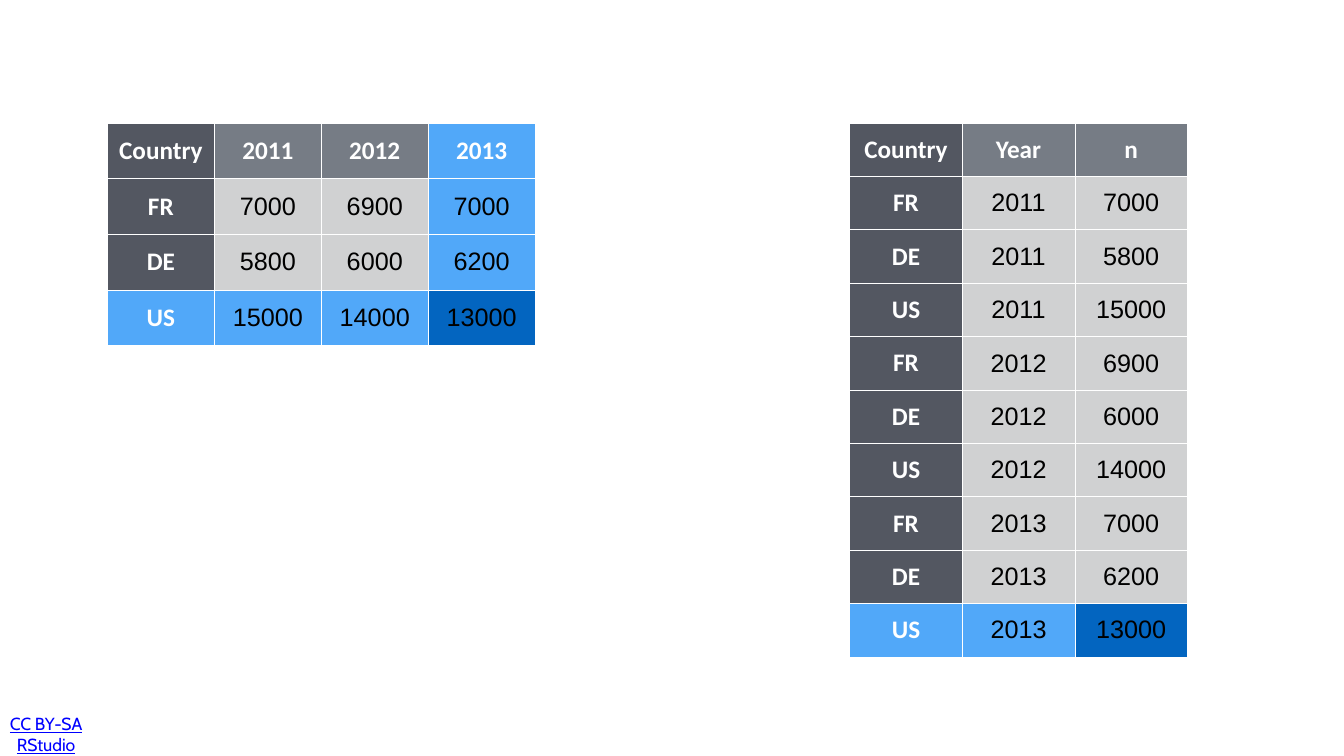
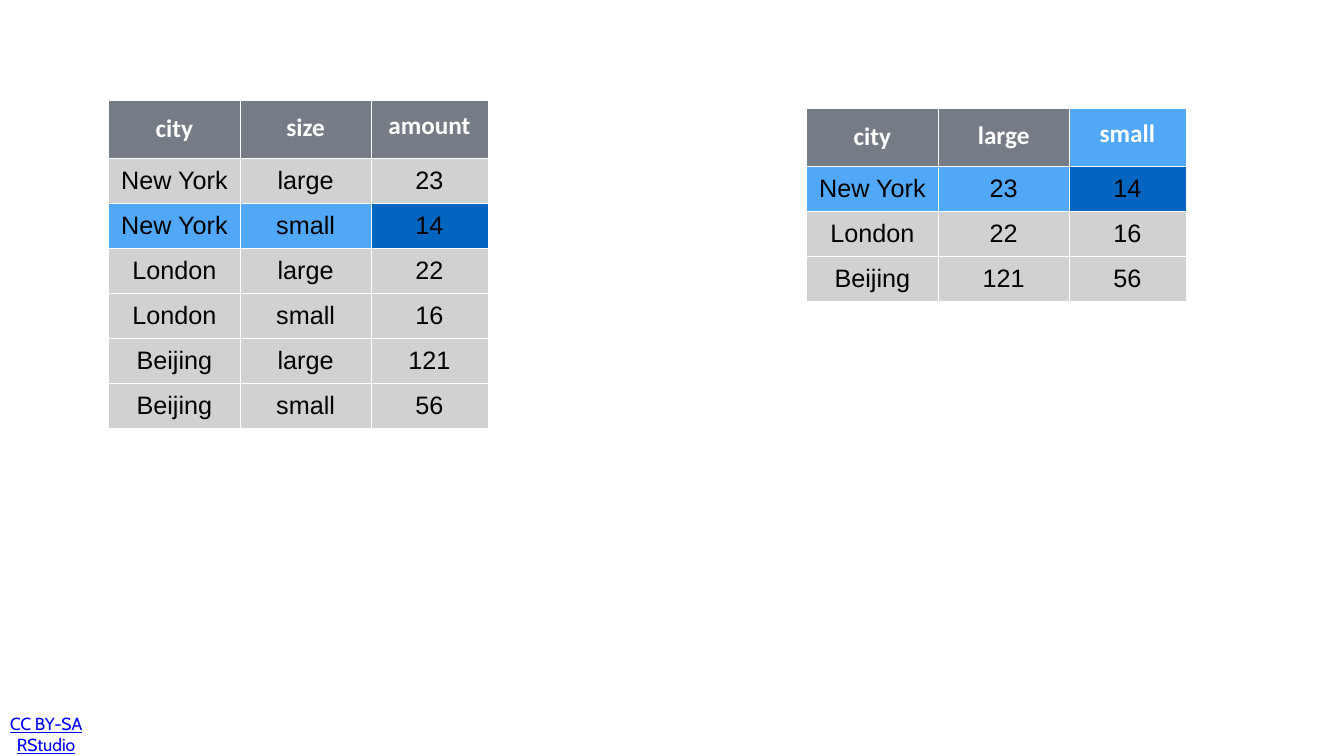
from lxml import etree
from pptx import Presentation
from pptx.dml.color import RGBColor
from pptx.enum.text import MSO_ANCHOR, PP_ALIGN
from pptx.oxml.ns import qn
from pptx.util import Pt

CENTER = PP_ALIGN.CENTER
MIDDLE = MSO_ANCHOR.MIDDLE

COLORS = {
    "white": "FFFFFF",
    "text": "000000",
    "link": "0000FF",
    "header": "767C85",
    "key": "535761",
    "value": "D0D1D2",
    "marked": "51A8F9",
    "target": "0365C0",
}
FILL_CODES = {"h": "header", "k": "key", "v": "value", "m": "marked", "t": "target"}
BLANK_LAYOUT = 6
CELL_INSET = 4.32
TABLE_SIZE = 36
CITY_COLUMNS = (188.6, 186.5, 167)
CITY_HEADER_SPACING = (1, 0.8, 0.6)
COUNTRIES = ("FR", "DE", "US")
SALES = {
    "2011": ("7000", "5800", "15000"),
    "2012": ("6900", "6000", "14000"),
    "2013": ("7000", "6200", "13000"),
}
AMOUNTS = {"New York": ("23", "14"), "London": ("22", "16"), "Beijing": ("121", "56")}


def color(name):
    """Return the named colour."""
    return RGBColor.from_string(COLORS[name])


def style_font(font, name, size, color_name, bold=False):
    """Set the face, size, colour and weight of a font."""
    font.name = name
    font.size = Pt(size)
    font.bold = bold
    font.color.rgb = color(color_name)


def add_borders(cell):
    """Draw a thin white line on all four sides of a cell."""
    properties = cell._tc.get_or_add_tcPr()
    for index, side in enumerate(("a:lnL", "a:lnR", "a:lnT", "a:lnB")):
        line = etree.Element(qn(side), w=str(Pt(1)))
        fill = etree.SubElement(line, qn("a:solidFill"))
        etree.SubElement(fill, qn("a:srgbClr"), val=COLORS["white"])
        properties.insert(index, line)


def fill_cell(cell, text, fill_name, is_label, spacing):
    """Write and format one table cell."""
    cell.fill.solid()
    cell.fill.fore_color.rgb = color(fill_name)
    add_borders(cell)
    cell.vertical_anchor = MIDDLE
    cell.margin_left = cell.margin_right = Pt(CELL_INSET)
    cell.margin_top = cell.margin_bottom = Pt(CELL_INSET)
    para = cell.text_frame.paragraphs[0]
    para.text = text
    para.alignment = CENTER
    if spacing != 1:
        para.line_spacing = spacing
    face, ink = ("Calibri", "white") if is_label else ("Arial", "text")
    style_font(para.runs[0].font, face, TABLE_SIZE, ink, is_label)


def add_data_table(page, corner, widths, heights, rows, fills,
                   label_column=False, header_spacing=None):
    """Add a table at a corner, with one fill code per cell."""
    left, top = corner
    frame = page.shapes.add_table(len(rows), len(widths), Pt(left), Pt(top),
                                  Pt(sum(widths)), Pt(sum(heights)))
    table = frame.table
    table.first_row = table.horz_banding = False
    for column, width in zip(table.columns, widths):
        column.width = Pt(width)
    for row, height in zip(table.rows, heights):
        row.height = Pt(height)
    spacings = header_spacing or [1] * len(widths)
    for r, (texts, codes) in enumerate(zip(rows, fills)):
        for c, (text, code) in enumerate(zip(texts, codes)):
            is_label = r == 0 or (label_column and c == 0)
            fill_cell(table.cell(r, c), text, FILL_CODES[code], is_label,
                      spacings[c] if r == 0 else 1)


def add_license(page):
    """Add the licence line in the bottom left corner."""
    box = page.shapes.add_textbox(Pt(8.6), Pt(1026.7), Pt(191.5), Pt(43.2))
    frame = box.text_frame
    frame.word_wrap = True
    frame.vertical_anchor = MIDDLE
    frame.margin_left, frame.margin_right = Pt(3), Pt(80)
    frame.margin_top = frame.margin_bottom = Pt(5.8)
    para = frame.paragraphs[0]
    para.text = "CC BY-SA RStudio"
    para.alignment = CENTER
    font = para.runs[0].font
    style_font(font, "Cabin", 25, "link")
    font.underline = True


def add_page(deck):
    """Add a blank page with the shared licence line."""
    page = deck.slides.add_slide(deck.slide_layouts[BLANK_LAYOUT])
    add_license(page)
    return page


def add_country_page(deck):
    """Show yearly country values in wide and long form."""
    page = add_page(deck)
    wide = [("Country", *SALES)]
    wide += [(country, *values) for country, *values in zip(COUNTRIES, *SALES.values())]
    add_data_table(page, (153.4, 175.7), [152.8] * 4, [79.5] * 4, wide,
                   ["khhm", "kvvm", "kvvm", "mmmt"], label_column=True)
    tidy = [("Country", "Year", "n")]
    tidy += [(country, year, value) for year, values in SALES.items()
             for country, value in zip(COUNTRIES, values)]
    add_data_table(page, (1213.9, 175.7), [160.8] * 3, [76.3] * 10, tidy,
                   ["khh"] + ["kvv"] * 8 + ["mmt"], label_column=True)


def add_city_page(deck):
    """Show city amounts in long and wide form."""
    page = add_page(deck)
    tidy = [("city", "size", "amount")]
    tidy += [(city, size, amount) for city, amounts in AMOUNTS.items()
             for size, amount in zip(("large", "small"), amounts)]
    add_data_table(page, (154.8, 142.6), CITY_COLUMNS, [83.5] + [64.2] * 6, tidy,
                   ["hhh", "vvv", "mmt"] + ["vvv"] * 4,
                   header_spacing=CITY_HEADER_SPACING)
    wide = [("city", "large", "small")]
    wide += [(city, *amounts) for city, amounts in AMOUNTS.items()]
    add_data_table(page, (1152, 154.1), CITY_COLUMNS, [84.2] + [64.2] * 3, wide,
                   ["hhm", "mmt", "vvv", "vvv"],
                   header_spacing=CITY_HEADER_SPACING)


def main():
    """Build and save the deck."""
    deck = Presentation()
    deck.slide_width, deck.slide_height = Pt(1920), Pt(1080)
    add_country_page(deck)
    add_city_page(deck)
    deck.save("out.pptx")


if __name__ == "__main__":
    main()
